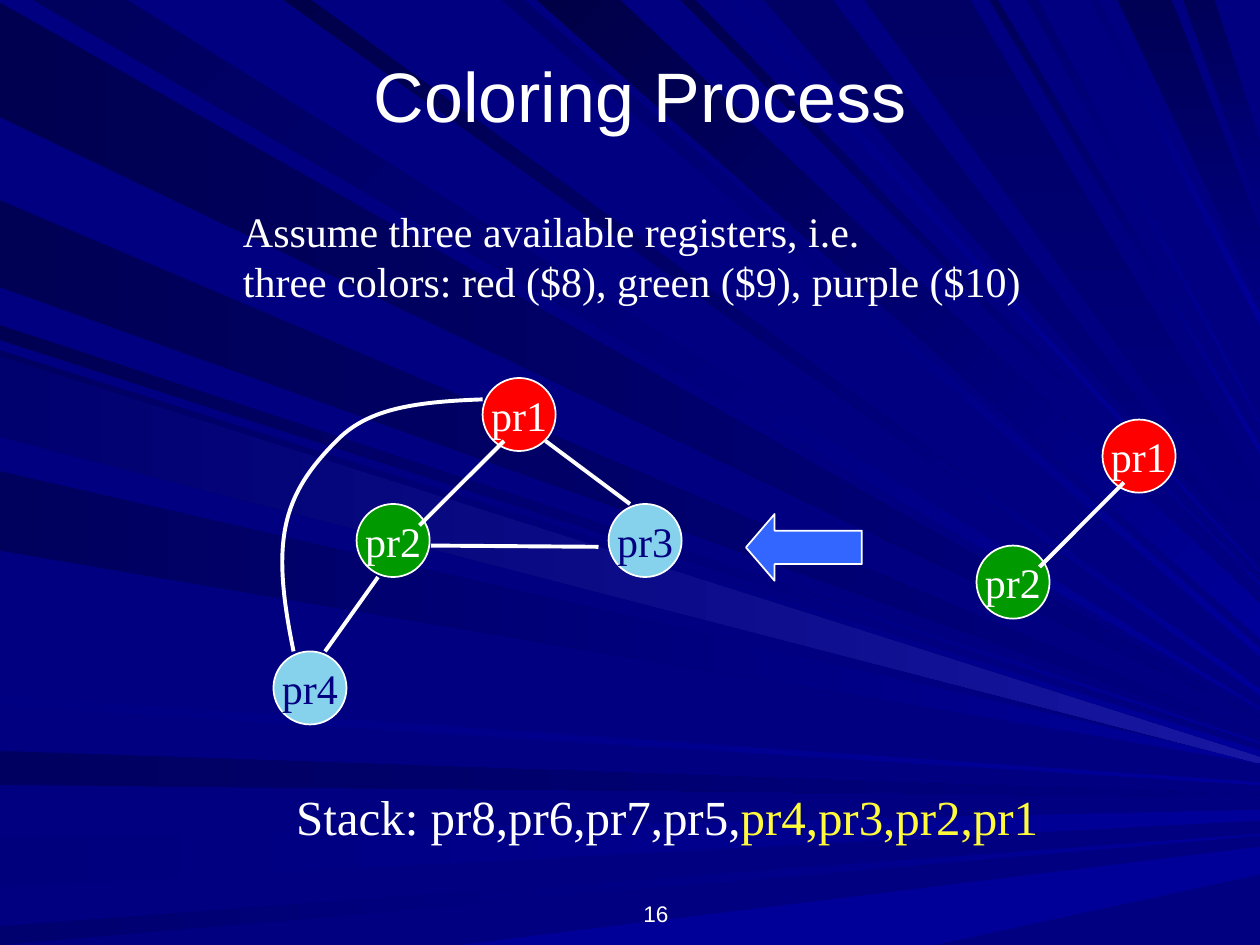
from typing import NamedTuple

from lxml.etree import SubElement
from pptx import Presentation
from pptx.dml.color import RGBColor
from pptx.enum.shapes import MSO_CONNECTOR, MSO_SHAPE
from pptx.enum.text import MSO_ANCHOR, PP_ALIGN
from pptx.oxml.ns import qn
from pptx.util import Pt

PX = 9144  # EMU per px, 100 px to the inch
WIDTH, HEIGHT = 1000, 750
WHITE, NAVY, RED, GREEN, SKY = "FFFFFF", "000080", "FF0000", "009900", "86D1EC"
YELLOW, BLUE, BRIGHT = "FFFB3B", "3366FF", "000099"
SERIF, SANS = "Times New Roman", "Arial"
NODE = 58


class Ray(NamedTuple):
    """A beam from start..end on one edge to reach..reach+spread on the right edge."""
    start: int
    end: int
    reach: int
    dark: str
    glow: str = BRIGHT
    spread: int = 1


LEFT_RAYS = [
    Ray(2, 93, 569, "000051", NAVY),
    Ray(596, 623, 631, "000061", NAVY),
    Ray(665, 704, 643, "00007D", spread=8),
    Ray(735, 750, 662, "00006F"),
    Ray(258, 270, 589, "000053"),
    Ray(159, 228, 584, "000055", NAVY),
    Ray(278, 342, 596, "000061", spread=6),
    Ray(374, 437, 605, "00005D"),
    Ray(552, 560, 621, "000082", spread=2),
    Ray(283, 347, 601, "00006F", "1717A2", spread=5),
]
TOP_RAYS = [
    Ray(26, 101, 562, "00005D"),
    Ray(398, 416, 515, "00006B", spread=6),
    Ray(426, 492, 479, "000047", spread=28),
    Ray(540, 552, 463, "00004F"),
    Ray(606, 661, 445, "000065", NAVY),
    Ray(887, 930, 183, "000055", NAVY, spread=54),
    Ray(939, 964, 114, "000059", NAVY, spread=53),
    Ray(225, 247, 547, "00004A", spread=5),
    Ray(577, 588, 453, "000082"),
    Ray(686, 770, 390, "000065", NAVY, spread=38),
    Ray(785, 792, 354, "000058", spread=6),
    Ray(815, 824, 335, "00006F"),
    Ray(865, 872, 249, "000079", spread=9),
]
BOTTOM_RAY = [(364, HEIGHT), (742, HEIGHT), (WIDTH, 694), (WIDTH, 672)]

# Interference graphs: nodes are (label, fill, text colour, x, y), edges (x1, y1, x2, y2)
FULL_NODES = [("pr1", RED, WHITE, 166, 0), ("pr2", GREEN, WHITE, 66, 100),
              ("pr3", SKY, NAVY, 266, 100), ("pr4", SKY, NAVY, 0, 217)]
FULL_EDGES = [(183, 50, 116, 117), (125, 133, 258, 134),
              (83, 158, 41, 217), (216, 50, 283, 100)]
PR1_TO_PR4 = [(166, 17), (110, 19), (74, 25), (50, 50), (6, 94), (-2, 130), (16, 217)]
PAIR_NODES = [("pr1", RED, WHITE, 100, 0), ("pr2", GREEN, WHITE, 0, 100)]
PAIR_EDGES = [(117, 50, 50, 117)]


def rgb(code):
    return RGBColor.from_string(code)


def emu(*lengths):
    return [length * PX for length in lengths]


def paint(part, fill, outline=WHITE, width=1):
    part.shadow.inherit = False
    part.fill.solid()
    part.fill.fore_color.rgb = rgb(fill)
    part.line.color.rgb = rgb(outline)
    part.line.width = Pt(width)


def write(frame, lines, size, font, color=WHITE, align=PP_ALIGN.CENTER,
          anchor=MSO_ANCHOR.TOP, wrap=False):
    frame.text = "\n".join(lines)
    frame.word_wrap = wrap
    frame.vertical_anchor = anchor
    for paragraph in frame.paragraphs:
        paragraph.alignment = align
        paragraph.font.size = Pt(size)
        paragraph.font.name = font
        paragraph.font.color.rgb = rgb(color)


def outline_through(shapes, points, close):
    builder = shapes.build_freeform(*points[0], scale=PX)
    builder.add_line_segments(points[1:], close=close)
    return builder.convert_to_shape()


def add_ray(rays, corners, dark, glow, angle):
    ray = outline_through(rays.shapes, corners, close=True)
    ray.shadow.inherit = False
    ray.line.fill.background()
    ray.fill.gradient()
    ray.fill.gradient_angle = angle
    for stop, color in zip(ray.fill.gradient_stops, (dark, glow)):
        stop.color.rgb = rgb(color)


def add_background(slide):
    slide.background.fill.solid()
    slide.background.fill.fore_color.rgb = rgb(NAVY)
    rays = slide.shapes.add_group_shape()
    add_ray(rays, BOTTOM_RAY, BRIGHT, BRIGHT, 0)
    for ray in LEFT_RAYS:
        corners = [(0, ray.start), (0, ray.end),
                   (WIDTH, ray.reach + ray.spread), (WIDTH, ray.reach)]
        add_ray(rays, corners, ray.dark, ray.glow, 0)
    for ray in TOP_RAYS:
        corners = [(ray.start, 0), (ray.end, 0),
                   (WIDTH, ray.reach), (WIDTH, ray.reach + ray.spread)]
        add_ray(rays, corners, ray.dark, ray.glow, 270 if ray.glow == NAVY else 315)


def add_title(slide, left, top, width, height):
    title = slide.shapes.title
    title.left, title.top, title.width, title.height = emu(left, top, width, height)
    write(title.text_frame, ["Coloring Process"], 40, SANS,
          anchor=MSO_ANCHOR.MIDDLE, wrap=True)
    # Bring the title in front of the rays
    title.element.getparent().append(title.element)


def add_text(slide, box, lines, size, font, **layout):
    frame = slide.shapes.add_textbox(*emu(*box)).text_frame
    write(frame, lines, size, font, **layout)
    return frame


def add_stack(slide, box):
    frame = add_text(slide, box, ["Stack: pr8,pr6,pr7,pr5,"], 28, SERIF)
    colored = frame.paragraphs[0].add_run()
    colored.text = "pr4,pr3,pr2,pr1"
    colored.font.color.rgb = rgb(YELLOW)


def add_graph(slide, left, top, nodes, edges):
    for label, fill, color, x, y in nodes:
        node = slide.shapes.add_shape(
            MSO_SHAPE.OVAL, *emu(left + x, top + y, NODE, NODE))
        paint(node, fill)
        write(node.text_frame, [label], 24, SERIF, color, anchor=MSO_ANCHOR.MIDDLE)
    for x1, y1, x2, y2 in edges:
        edge = slide.shapes.add_connector(
            MSO_CONNECTOR.STRAIGHT, *emu(left + x1, top + y1, left + x2, top + y2))
        edge.line.color.rgb = rgb(WHITE)
        edge.line.width = Pt(2.25)
        SubElement(edge.element.spPr, qn("a:effectLst"))


def add_curved_edge(slide, left, top, points):
    curve = outline_through(
        slide.shapes, [(left + x, top + y) for x, y in points], close=False)
    paint(curve, WHITE, width=2.25)
    curve.fill.background()
    # Join each three line segments into one Bezier segment
    path = next(curve.element.iter(qn("a:path")))
    segments = path.findall(qn("a:lnTo"))
    for first in range(0, len(segments), 3):
        bezier = SubElement(path, qn("a:cubicBezTo"))
        for segment in segments[first:first + 3]:
            bezier.append(segment[0])
            path.remove(segment)


def add_arrow(slide, left, top, width, height):
    arrow = slide.shapes.add_shape(MSO_SHAPE.LEFT_ARROW, *emu(left, top, width, height))
    arrow.adjustments[1] = 0.43
    paint(arrow, BLUE)


def main():
    deck = Presentation()
    deck.slide_width, deck.slide_height = emu(WIDTH, HEIGHT)
    slide = deck.slides.add_slide(deck.slide_layouts[5])

    add_background(slide)
    add_title(slide, 83, 25, 850, 100)
    add_text(slide, (183, 708, 675, 33), ["16"], 12.9, SANS,
             anchor=MSO_ANCHOR.BOTTOM, wrap=True)
    add_arrow(slide, 592, 408, 92, 53)
    add_text(slide, (183, 158, 637, 90),
             ["Assume three available registers, i.e.",
              "three colors: red ($8), green ($9), purple ($10)"],
             24, SERIF, align=PP_ALIGN.LEFT)
    add_stack(slide, (225, 619, 609, 57))
    add_graph(slide, 775, 333, PAIR_NODES, PAIR_EDGES)
    add_graph(slide, 217, 300, FULL_NODES, FULL_EDGES)
    add_curved_edge(slide, 217, 300, PR1_TO_PR4)
    deck.save("out.pptx")


if __name__ == "__main__":
    main()
